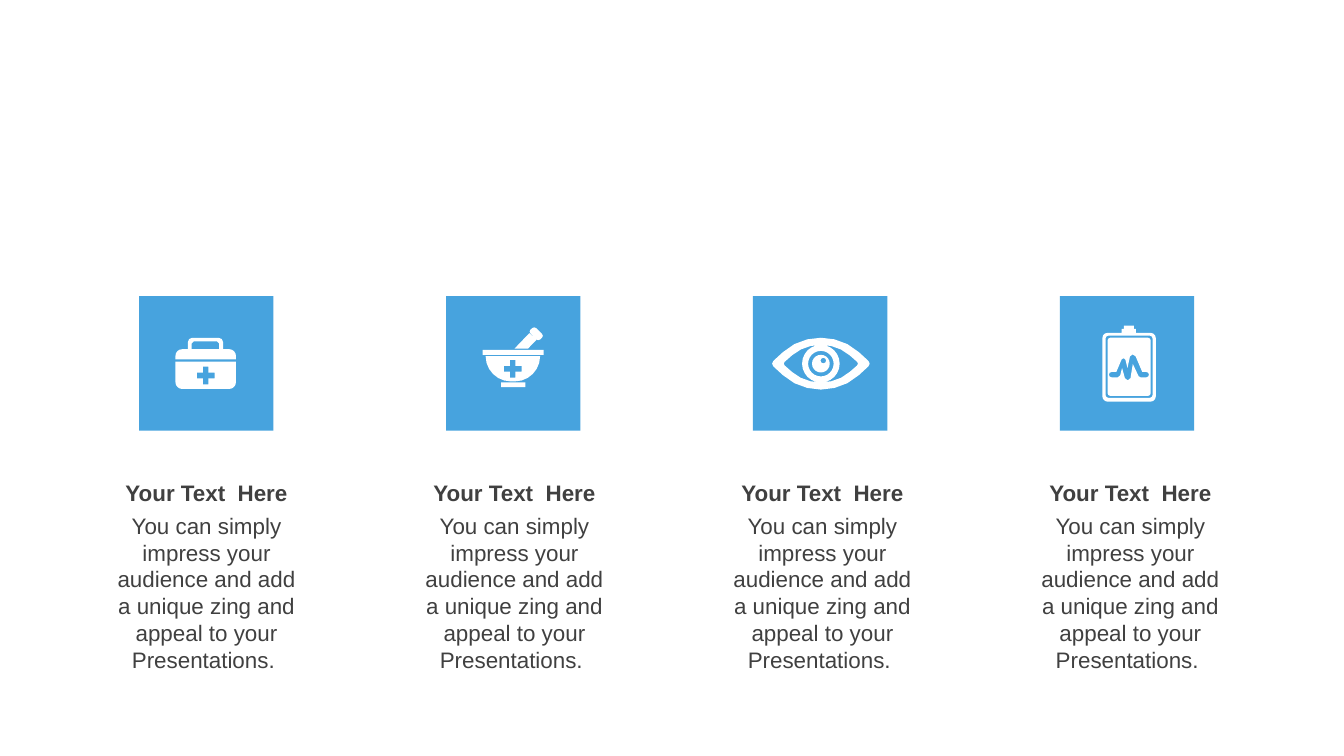
from math import ceil, dist

from pptx import Presentation
from pptx.dml.color import RGBColor
from pptx.enum.shapes import MSO_SHAPE
from pptx.enum.text import PP_ALIGN
from pptx.util import Cm, Pt

BLUE, WHITE, GRAY = "47A3DE", "FFFFFF", "404040"


# Outlines are lists of corners (x, y, radius), in hundredths of a tile side
def block(left, top, right, bottom, radius=0):
    return [(left, top, radius), (right, top, radius),
            (right, bottom, radius), (left, bottom, radius)]


def disc(x, y, radius):
    return block(x - radius, y - radius, x + radius, y + radius, radius)


def lens(x, y, half_width, half_height, tip_radius):
    bend = 0.75 * dist((0, 0), (half_width, half_height))
    return [(x - half_width, y, tip_radius), (x, y - half_height, bend),
            (x + half_width, y, tip_radius), (x, y + half_height, bend)]


def cross(x, y, long=6.6, short=2.1):
    steps = [(-short, -long), (short, -long), (short, -short), (long, -short),
             (long, short), (short, short), (short, long), (-short, long),
             (-short, short), (-long, short), (-long, -short), (-short, -short)]
    return [(x + dx, y + dy, 0) for dx, dy in steps]


# Content: one icon per column, outlines inside others become holes
BAG = [
    [(27, 47, 0), (27, 39.4, 5), (36.3, 39.4, 0), (36.3, 31, 3),
     (62.4, 31, 3), (62.4, 39.4, 0), (72, 39.4, 5), (72, 47, 0)],
    [(39, 39.4, 0), (39, 33.7, 1.5), (59.5, 33.7, 1.5), (59.5, 39.4, 0)],
    [(27, 48.7, 0), (72, 48.7, 0), (72, 69, 5), (27, 69, 5)],
    cross(49.5, 59),
]
MORTAR = [
    block(41, 64.2, 59, 67.6),
    [(29.5, 44.6, 0), (70, 44.6, 0), (70, 63.4, 18.7), (29.5, 63.4, 18.7)],
    cross(49.6, 54),
    block(27.3, 40, 72.7, 43.7),
    [(62, 27.5, 0), (67.3, 32.5, 0), (61, 39, 0), (51, 39, 0)],
    [(65.7, 22.4, 2), (72.9, 29.6, 2), (68.5, 33.6, 2), (61.4, 26.2, 2)],
]
EYE = [
    lens(50.6, 50.2, 37.6, 34.5, 3), lens(50.6, 50.2, 28.5, 25, 2),
    disc(50.6, 50.2, 14), disc(50.6, 50.2, 9.5), disc(50.6, 50.2, 6.6),
    disc(52.4, 47.9, 2.1),
]
CLIPBOARD = [
    [(31.6, 27.2, 4), (46, 27.2, 0), (46, 24.3, 0), (47.6, 24.3, 0),
     (47.6, 21.8, 0), (55, 21.8, 0), (55, 24.3, 0), (56.5, 24.3, 0),
     (56.5, 27.2, 0), (71.4, 27.2, 4), (71.4, 78.5, 4), (31.6, 78.5, 4)],
    block(34, 29.3, 69, 75.7, 2.2),
    block(35.5, 30.9, 67.6, 74.2, 2),
    [(36.5, 56.4, 2), (42, 56.4, 0), (46.3, 46.2, 1), (48.5, 46.2, 1),
     (50.3, 53.4, 0), (52.5, 43.4, 1.5), (55.8, 43.4, 1.5), (61.3, 56.4, 0),
     (66.3, 56.4, 2), (66.3, 60.4, 2), (59, 60.4, 1), (54.3, 50.4, 0),
     (52.3, 62.4, 1.5), (48.8, 62.4, 1.5), (46.3, 53.4, 0),
     (44.5, 60.4, 1.5), (36.5, 60.4, 2)],
]
ICONS = [BAG, MORTAR, EYE, CLIPBOARD]
TEXTS = [  # wording, top, height, bold
    ("You can simply impress your audience and add a unique zing and "
     "appeal to your Presentations. ", Cm(9.55), Cm(3.33), False),
    ("Your Text  Here", Cm(8.94), Cm(0.76), True),
]

# Layout of the columns
TILE, TILE_LEFT, TILE_TOP, TILE_PITCH = Cm(2.54), Cm(2.63), Cm(5.6), Cm(5.8)
TEXT_LEFT, TEXT_WIDTH, TEXT_PITCH = Cm(1.91), Cm(3.99), Cm(5.82)
FINE = 100  # drawing units in one hundredth of a tile side


def color(code):
    return RGBColor.from_string(code)


def paint(shape, code):
    shape.shadow.inherit = False
    shape.fill.solid()
    shape.fill.fore_color.rgb = color(code)
    shape.line.fill.background()


def toward(start, end, length):
    share = length / dist(start, end)
    return tuple(a + (b - a) * share for a, b in zip(start, end))


def round_corners(corners):
    """Return the points of an outline, with more of them on larger bends."""
    points = []
    for i, (x, y, radius) in enumerate(corners):
        corner = (x, y)
        if not radius:
            points.append(corner)
            continue
        before, after = corners[i - 1][:2], corners[(i + 1) % len(corners)][:2]
        curve = [toward(corner, before, radius), toward(corner, before, radius * 0.45),
                 toward(corner, after, radius * 0.45), toward(corner, after, radius)]
        steps = min(6, ceil(radius / 1.5))
        for step in range(steps + 1):
            t = step / steps
            weights = ((1 - t) ** 3, 3 * t * (1 - t) ** 2, 3 * t * t * (1 - t), t ** 3)
            points.append(tuple(sum(w * p[axis] for w, p in zip(weights, curve))
                                for axis in (0, 1)))
    return [(px * FINE, py * FINE) for px, py in points]


def add_icon(page, outlines, left, top):
    paths = [round_corners(outline) for outline in outlines]
    builder = page.shapes.build_freeform(*paths[0][0], scale=TILE / (100 * FINE))
    for i, points in enumerate(paths):
        if i:
            builder.move_to(*points[0])
        builder.add_line_segments(points[1:], close=True)
    paint(builder.convert_to_shape(left, top), WHITE)


def add_text(page, words, left, top, height, bold):
    box = page.shapes.add_textbox(left, top, TEXT_WIDTH, height)
    box.text_frame.word_wrap = True
    para = box.text_frame.paragraphs[0]
    para.alignment = PP_ALIGN.CENTER
    span = para.add_run()
    span.text = words
    for name, value in {"name": "Arial", "size": Pt(12), "bold": bold}.items():
        setattr(span.font, name, value)
    span.font.color.rgb = color(GRAY)


def main():
    deck = Presentation()
    deck.slide_width, deck.slide_height = Cm(25.4), Cm(14.29)
    page = deck.slides.add_slide(deck.slide_layouts[6])
    for column, icon in enumerate(ICONS):
        # Tile with its icon
        left = TILE_LEFT + column * TILE_PITCH
        tile = page.shapes.add_shape(MSO_SHAPE.RECTANGLE, left, TILE_TOP, TILE, TILE)
        paint(tile, BLUE)
        add_icon(page, icon, left, TILE_TOP)
        # Heading and description
        for words, top, height, bold in TEXTS:
            add_text(page, words, TEXT_LEFT + column * TEXT_PITCH, top, height, bold)
    deck.save("out.pptx")


if __name__ == "__main__":
    main()
